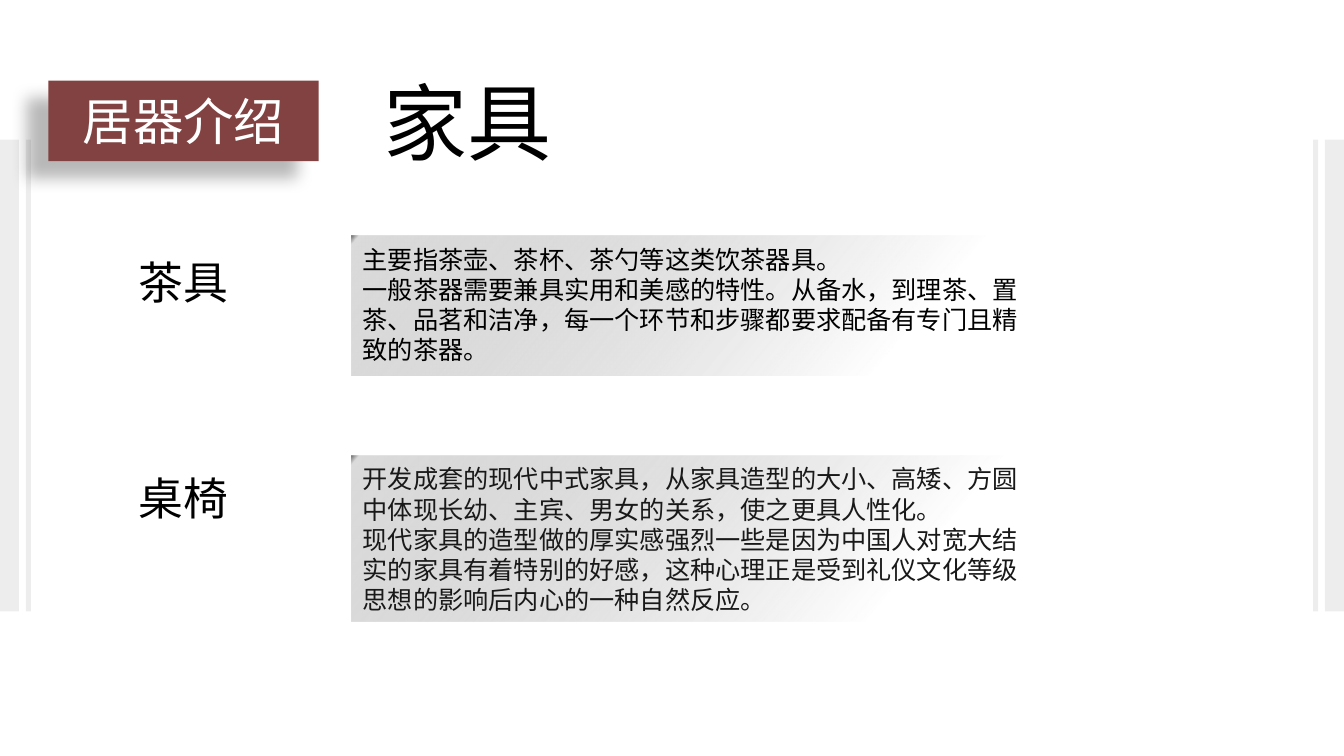
from lxml import etree
from pptx import Presentation
from pptx.dml.color import RGBColor
from pptx.enum.shapes import MSO_SHAPE
from pptx.enum.text import MSO_ANCHOR, MSO_AUTO_SIZE, PP_ALIGN
from pptx.oxml import parse_xml
from pptx.oxml.ns import nsdecls, qn
from pptx.util import Cm, Pt

RECT = MSO_SHAPE.RECTANGLE
TOP, MIDDLE = MSO_ANCHOR.TOP, MSO_ANCHOR.MIDDLE
LEFT, CENTER = PP_ALIGN.LEFT, PP_ALIGN.CENTER
NO_AUTOFIT = MSO_AUTO_SIZE.NONE

FONT = "Noto Sans CJK SC"
SLIDE_W, SLIDE_H = 33.87, 19.05
TITLE_ONLY = 5
BARS = [(0, 0.48), (0.65, 0.13)]  # distance from the slide edge, width

# label, label top, panel top, panel height, text colour, paragraphs
SECTIONS = [
    ("茶具", 6.3, 5.94, 3.51, "000000", [
        "主要指茶壶、茶杯、茶勺等这类饮茶器具。",
        "一般茶器需要兼具实用和美感的特性。从备水，到理茶、置茶、品茗和洁净，"
        "每一个环节和步骤都要求配备有专门且精致的茶器。"]),
    ("桌椅", 11.73, 11.48, 4.19, "191919", [
        "开发成套的现代中式家具，从家具造型的大小、高矮、方圆中体现长幼、主宾、"
        "男女的关系，使之更具人性化。",
        "现代家具的造型做的厚实感强烈一些是因为中国人对宽大结实的家具有着特别的好感，"
        "这种心理正是受到礼仪文化等级思想的影响后内心的一种自然反应。"]),
]


def rgb(color):
    return RGBColor.from_string(color)


def box(x, y, w, h):
    return Cm(x), Cm(y), Cm(w), Cm(h)


def write(sp, paragraphs, size, color, align=LEFT, anchor=TOP, wrap=True):
    tf = sp.text_frame
    tf.text = "\n".join(paragraphs)
    tf.word_wrap = wrap
    tf.auto_size = NO_AUTOFIT
    tf.vertical_anchor = anchor
    for p in tf.paragraphs:
        p.alignment = align
        for r in p.runs:
            r.font.name = FONT
            r.font.size = Pt(size)
            r.font.color.rgb = rgb(color)
            etree.SubElement(r._r.get_or_add_rPr(), qn("a:ea"), typeface=FONT)


def add_text(s, place, paragraphs, size, color):
    write(s.shapes.add_textbox(*place), paragraphs, size, color)


def add_rect(s, place, color):
    sp = s.shapes.add_shape(RECT, *place)
    sp.shadow.inherit = False
    sp.fill.solid()
    sp.fill.fore_color.rgb = rgb(color)
    sp.line.fill.background()
    return sp


def add_side_bars(s):
    for offset, w in BARS:
        for x in (offset, SLIDE_W - offset - w):
            sp = add_rect(s, box(x, 3.52, w, 11.89), "000000")
            clr = sp._element.spPr.find(".//" + qn("a:srgbClr"))
            etree.SubElement(clr, qn("a:alpha"), val="7000")


def add_badge(s, text):
    sp = add_rect(s, box(1.22, 2.03, 6.81, 2.03), "824242")
    sp._element.spPr.find(qn("a:effectLst")).append(parse_xml(
        f'<a:outerShdw {nsdecls("a")} blurRad="{Pt(11.8)}" dist="{Pt(19.7)}" '
        'dir="8460000" algn="tr" rotWithShape="0"><a:srgbClr val="000000">'
        '<a:alpha val="28000"/></a:srgbClr></a:outerShdw>'))
    write(sp, [text], 36, "FFFFFF", CENTER, MIDDLE)


def add_fading_panel(s, place):
    sp = add_rect(s, place, "DBDBDB")
    spPr = sp._element.spPr
    spPr.replace(spPr.find(qn("a:solidFill")), parse_xml(
        f'<a:gradFill {nsdecls("a")} rotWithShape="1"><a:gsLst>'
        '<a:gs pos="0"><a:srgbClr val="636363"/></a:gs>'
        '<a:gs pos="1000"><a:srgbClr val="DBDBDB"/></a:gs>'
        '<a:gs pos="79000"><a:srgbClr val="AAAAAA"><a:alpha val="0"/></a:srgbClr></a:gs>'
        '</a:gsLst><a:lin ang="2400000" scaled="0"/></a:gradFill>'))


def place_title(s, text):
    title = s.shapes.title
    title.left, title.top, title.width, title.height = box(9.42, 1.65, 4.78, 2.82)
    write(title, [text], 60, "000000", wrap=False)


def main():
    prs = Presentation()
    prs.slide_width, prs.slide_height = Cm(SLIDE_W), Cm(SLIDE_H)
    s = prs.slides.add_slide(prs.slide_layouts[TITLE_ONLY])
    add_side_bars(s)
    add_badge(s, "居器介绍")
    place_title(s, "家具")
    for label, label_y, y, h, color, paragraphs in SECTIONS:
        add_text(s, box(3.25, label_y, 3.25, 1.63), [label], 32, "000000")
        add_fading_panel(s, box(8.86, y, 17.32, h))
        add_text(s, box(8.89, y + 0.08, 17.2, h - 0.08), paragraphs, 18, color)
    prs.save("out.pptx")


if __name__ == "__main__":
    main()
